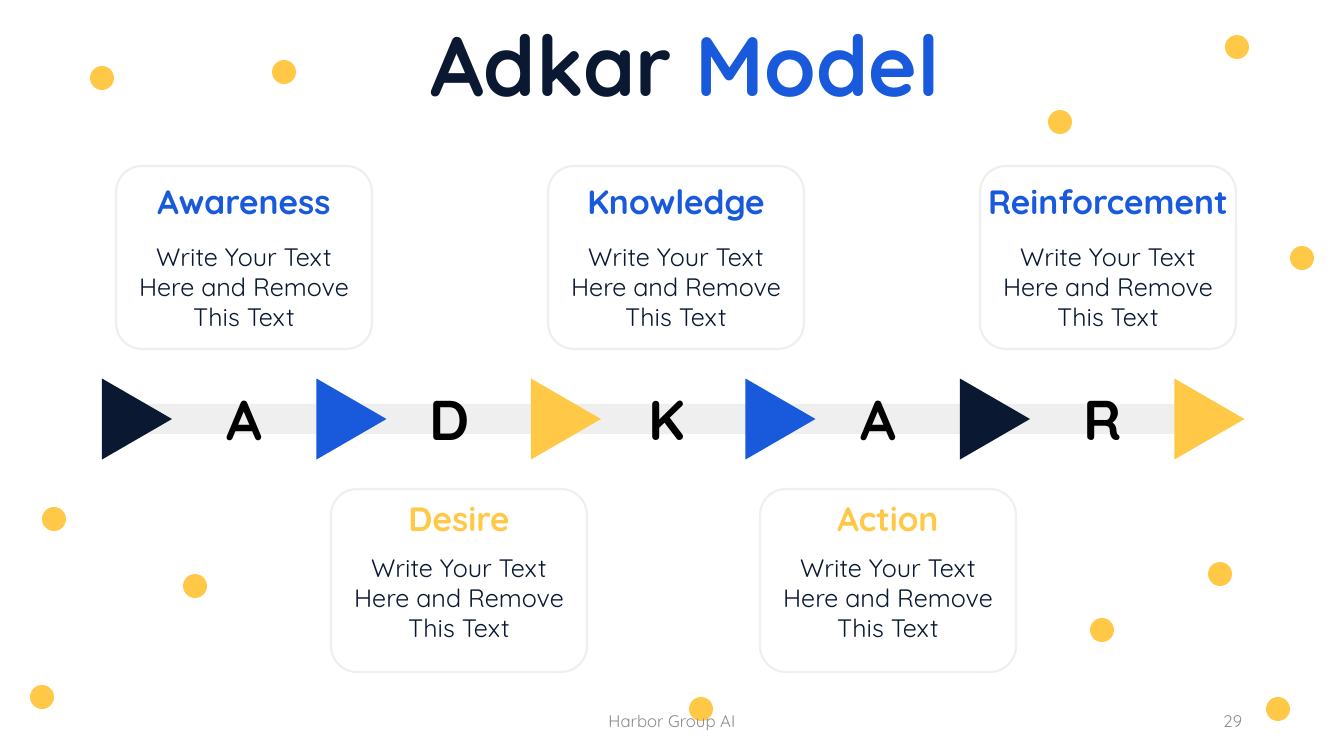
"""Build the Adkar Model slide."""
from pptx import Presentation, util as u
from pptx.dml.color import RGBColor
from pptx.enum import shapes, text

COLORS = {"navy": "0A1931", "blue": "185ADB", "yellow": "FFC947",
          "pale": "EFEFEF", "black": "000000", "gray": "8C8C8C"}
FONT = "Quicksand"
BODY = "Write Your Text Here and Remove This Text"
TITLE = [("Adkar", "navy"), (" Model", "blue")]
LETTERS = [("A", 244), ("D", 450), ("K", 667), ("A", 878), ("R", 1103)]
ARROWS = ["navy", "blue", "yellow", "blue", "navy", "yellow"]
DOTS = [(102, 78), (284, 72), (1237, 47), (1060, 122), (1302, 258), (54, 519),
        (195, 586), (42, 697), (701, 709), (1220, 574), (1102, 630), (1278, 709)]
ROWS = [
    {"names": ["Awareness", "Knowledge", "Reinforcement"], "color": "blue",
     "center": 244, "pitch": 432, "top": 166, "heading": 10, "body": 70},
    {"names": ["Desire", "Action"], "color": "yellow",
     "center": 459, "pitch": 429, "top": 489, "heading": 4, "body": 58},
]
CARD_WIDTH, CARD_HEIGHT, CARD_RADIUS = 256, 183, 26
HEADING_WIDTH, HEADING_HEIGHT = 280, 50
BODY_WIDTH, BODY_HEIGHT = 246, 102
ARROW_LEFT, ARROW_PITCH, ARROW_LENGTH, ARROW_SPAN = 102, 214.5, 70, 81
AXIS, BAR_LEFT, BAR_WIDTH, BAR_HEIGHT = 419, 125, 1073, 30
DOT = 24


def px(value):
    """Turn pixels into EMU."""
    return u.Inches(value / 100.8)


def rgb(name):
    """Look up a colour by name."""
    return RGBColor.from_string(COLORS[name])


def add_shape(kind, center, middle, width, height, fill=None, line=None):
    """Add a preset shape around a centre point."""
    shape = page.shapes.add_shape(kind, px(center - width / 2), px(middle - height / 2),
                                  px(width), px(height))
    shape.shadow.inherit = False
    if fill:
        shape.fill.solid()
        shape.fill.fore_color.rgb = rgb(fill)
    else:
        shape.fill.background()
    if line:
        shape.line.color.rgb = rgb(line)
        shape.line.width = u.Pt(1.5)
    else:
        shape.line.fill.background()
    return shape


def add_text(spans, center, top, width, height, size, color="black", bold=False,
             wrap=False, align="CENTER", anchor="TOP"):
    """Add a text box centred on a column."""
    box = page.shapes.add_textbox(px(center - width / 2), px(top), px(width), px(height))
    frame = box.text_frame
    frame.word_wrap = wrap
    frame.vertical_anchor = text.MSO_ANCHOR[anchor]
    para = frame.paragraphs[0]
    para.alignment = text.PP_ALIGN[align]
    for words, shade in [(spans, color)] if isinstance(spans, str) else spans:
        span = para.add_run()
        span.text = words
        span.font.name = FONT
        span.font.size = u.Pt(size)
        span.font.bold = bold
        span.font.color.rgb = rgb(shade)


deck = Presentation()
deck.slide_width, deck.slide_height = px(1344), px(756)
page = deck.slides.add_slide(deck.slide_layouts[6])
preset = shapes.MSO_SHAPE

bar = add_shape(preset.ROUNDED_RECTANGLE, BAR_LEFT + BAR_WIDTH / 2, AXIS,
                BAR_WIDTH, BAR_HEIGHT, fill="pale")
bar.adjustments[0] = 0.5

for center, middle in DOTS:
    add_shape(preset.OVAL, center, middle, DOT, DOT, fill="yellow")

for index, color in enumerate(ARROWS):
    center = ARROW_LEFT + index * ARROW_PITCH + ARROW_LENGTH / 2
    arrow = add_shape(preset.ISOSCELES_TRIANGLE, center, AXIS, ARROW_SPAN, ARROW_LENGTH,
                      fill=color)
    arrow.rotation = 90

for letter, center in LETTERS:
    add_text(letter, center, 380, 62, 78, 40, bold=True)

for row in ROWS:
    for index, name in enumerate(row["names"]):
        center = row["center"] + index * row["pitch"]
        card = add_shape(preset.ROUNDED_RECTANGLE, center, row["top"] + CARD_HEIGHT / 2,
                         CARD_WIDTH, CARD_HEIGHT, line="pale")
        card.adjustments[0] = CARD_RADIUS / CARD_HEIGHT
        add_text(name, center, row["top"] + row["heading"], HEADING_WIDTH, HEADING_HEIGHT,
                 24, color=row["color"], bold=True)
        add_text(BODY, center, row["top"] + row["body"], BODY_WIDTH, BODY_HEIGHT, 18,
                 color="navy", wrap=True)

add_text(TITLE, 685, 8, 538, 112, 60, bold=True)
footer = {"top": 701, "height": 40, "size": 12, "color": "gray", "wrap": True,
          "anchor": "MIDDLE"}
add_text("Harbor Group AI", 672, width=454, **footer)
add_text("29", 1101, width=302, align="RIGHT", **footer)

deck.save("out.pptx")
